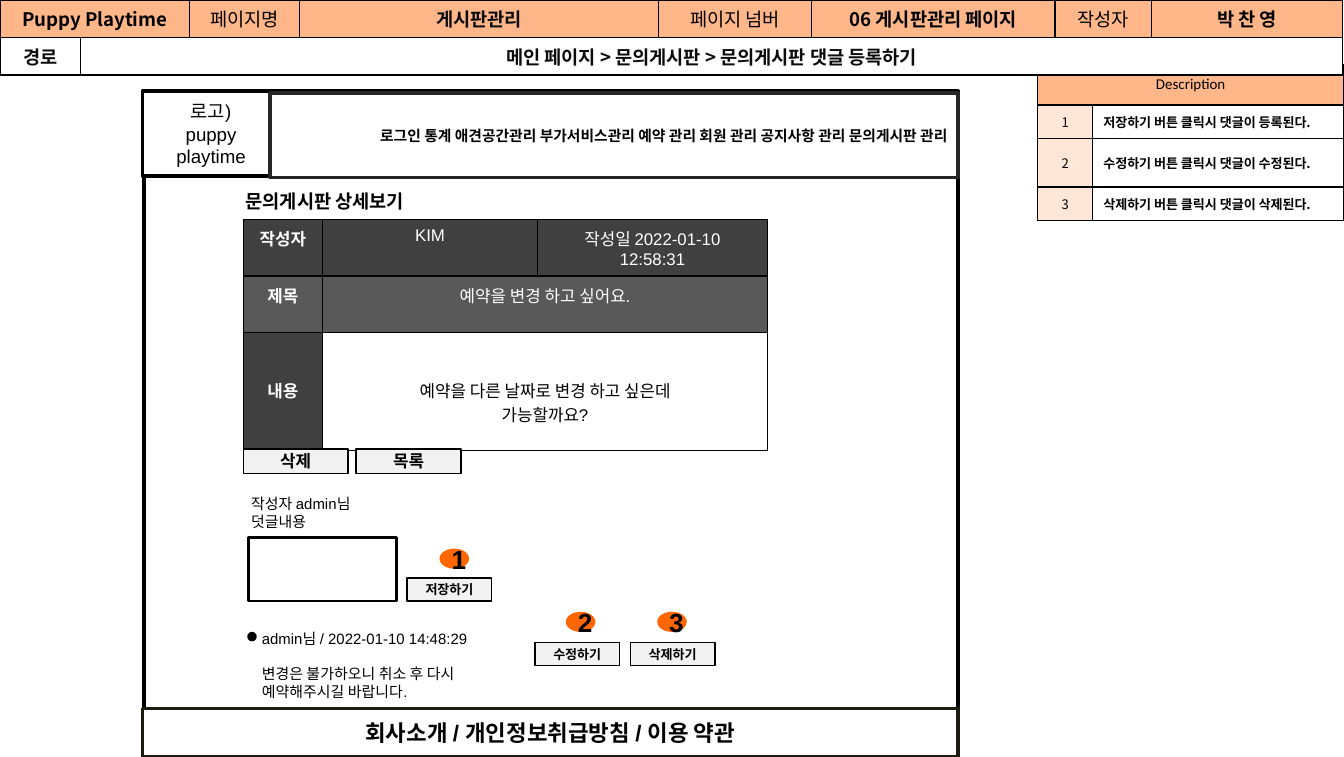
"""Builds the wireframe slide for the inquiry board comment page."""
from lxml.etree import SubElement
from pptx import Presentation
from pptx.dml.color import RGBColor
from pptx.enum.shapes import MSO_SHAPE
from pptx.enum.text import MSO_ANCHOR, PP_ALIGN
from pptx.oxml import parse_xml
from pptx.oxml.ns import nsdecls, qn
from pptx.util import Inches, Pt

COLORS = {"black": "000000", "ink": "0C0C0C", "white": "FFFFFF", "peach": "FFB689",
          "cream": "FFE7D8", "dark": "404040", "mid": "595959", "grey": "F2F2F2",
          "orange": "FF6600", "olive": "1D1B10", "coal": "262626"}
KOREAN = "Noto Sans CJK KR"
ALIGN = {"left": PP_ALIGN.LEFT, "center": PP_ALIGN.CENTER, "right": PP_ALIGN.RIGHT}

bold = {"bold": True}
head = {"fill": "peach"}
head_bold = {"fill": "peach", "bold": True}
path = {"fill": "white", "bold": True, "color": "ink", "anchor": MSO_ANCHOR.MIDDLE}
label = {"fill": "dark", "color": "white", "bold": True}
value = {"fill": "dark", "color": "white"}
low = {"top": 0.34}

DESCRIPTIONS = ["저장하기 버튼 클릭시 댓글이 등록된다.", "수정하기 버튼 클릭시 댓글이 수정된다.",
                "삭제하기 버튼 클릭시 댓글이 삭제된다."]
DESCRIPTION_CELLS = [(0, 0, 2, "Description", {"fill": "peach", "size": 8, "font": "Calibri"})]
for number, sentence in enumerate(DESCRIPTIONS, 1):
    DESCRIPTION_CELLS += [(number, 0, 1, str(number), {"fill": "cream"}),
                          (number, 1, 1, sentence, {"fill": "white", "bold": True, "align": "left"})]

HEADER_CELLS = [
    (0, 0, 2, "Puppy Playtime", head_bold), (0, 2, 1, "페이지명", head),
    (0, 3, 1, "게시판관리", head_bold | {"color": "ink"}), (0, 4, 1, "페이지 넘버", head),
    (0, 5, 1, "06 게시판관리 페이지", head_bold), (0, 6, 1, "작성자", head),
    (0, 7, 1, "박 찬 영", head_bold), (1, 0, 1, "경로", path),
    (1, 1, 7, "메인 페이지 > 문의게시판 > 문의게시판 댓글 등록하기", path)]

POST_CELLS = [
    (0, 0, 1, "작성자", label), (0, 1, 1, "KIM", value),
    (0, 2, 1, "작성일 2022-01-10 12:58:31", value),
    (1, 0, 1, "제목", label | {"fill": "mid"}),
    (1, 1, 2, "예약을 변경 하고 싶어요.", value | {"fill": "mid"}),
    (2, 0, 1, "내용", label | low),
    (2, 1, 2, "예약을 다른 날짜로 변경 하고 싶은데\n가능할까요?", low)]

MENU = "로그인 통계 애견공간관리 부가서비스관리 예약 관리 회원 관리 공지사항 관리 문의게시판 관리"
FRAMES = [
    ((1.07, 0.68, 6.06, 4.94), "black", 2, "", {}),
    ((1.06, 5.27, 6.07, 0.36), "olive", 2, "회사소개 / 개인정보취급방침 / 이용 약관", bold | {"size": 12}),
    ((1.06, 0.68, 1.02, 0.63), "black", 2, "로고)\npuppy\nplaytime", {"size": 10}),
    ((2.01, 0.69, 5.12, 0.63), "coal", 2, MENU,
     bold | {"size": 7.9, "font": KOREAN, "align": "right", "side": 0.08, "top": 0.04}),
    ((1.85, 4, 1.1, 0.47), "black", 1.5, "", {})]
BUTTONS = [((1.81, 3.34, 0.78, 0.18), "삭제", 9), ((2.65, 3.34, 0.78, 0.18), "목록", 9),
           ((3.03, 4.3, 0.63, 0.17), "저장하기", 7), ((3.98, 4.78, 0.63, 0.17), "수정하기", 7),
           ((4.69, 4.78, 0.63, 0.17), "삭제하기", 7)]
MARKERS = [(3.27, 4.08), (4.21, 4.55), (4.89, 4.55)]
NOTES = [
    ((1.73, 1.36, 1.62, 0.26), "문의게시판 상세보기", bold | {"size": 10}),
    ((1.77, 3.63, 1.02, 0.36), "작성자 admin님\n덧글내용", {"size": 8}),
    ((1.85, 4.63, 1.97, 0.63),
     "admin님 / 2022-01-10 14:48:29\n변경은 불가하오니 취소 후 다시 예약해주시길 바랍니다.", {"size": 8, "gap": 9.5})]


def rgb(name):
    return RGBColor.from_string(COLORS[name])


def write(frame, text, size=9, font="Arial", color="black", bold=False, align="center", gap=0):
    """Fill a text frame, one paragraph per line."""
    frame.word_wrap = True
    for index, line in enumerate(text.split("\n")):
        para = frame.add_paragraph() if index else frame.paragraphs[0]
        para.alignment = ALIGN[align]
        if index and gap:
            para.space_before = Pt(gap)
        span = para.add_run()
        span.text = line
        span.font.size, span.font.name, span.font.bold = Pt(size), font, bold
        span.font.color.rgb = rgb(color)
        SubElement(span.font._element, qn("a:ea")).set("typeface", KOREAN)


def set_margins(target, side, top, bottom):
    target.margin_left = target.margin_right = Inches(side)
    target.margin_top, target.margin_bottom = Inches(top), Inches(bottom)


def add_box(page, area, fill, line=None, width=1, text="", kind=MSO_SHAPE.RECTANGLE,
            side=0.1, top=0.05, **style):
    box = page.shapes.add_shape(kind, *map(Inches, area))
    box.shadow.inherit = False
    box.fill.solid()
    box.fill.fore_color.rgb = rgb(fill)
    if line:
        box.line.color.rgb = rgb(line)
        box.line.width = Pt(width)
    else:
        box.line.fill.background()
    if text:
        set_margins(box.text_frame, side, top, top)
        box.text_frame.vertical_anchor = MSO_ANCHOR.MIDDLE
        write(box.text_frame, text, **style)


def add_grid(page, left, top, columns, rows, cells, border, margins, **defaults):
    area = map(Inches, (left, top, sum(columns), sum(rows)))
    table = page.shapes.add_table(len(rows), len(columns), *area).table
    for column, width in zip(table.columns, columns):
        column.width = Inches(width)
    for row, height in zip(table.rows, rows):
        row.height = Inches(height)
    for row, column, width, text, style in cells:
        style = defaults | style
        fill = style.pop("fill", None)
        anchor = style.pop("anchor", MSO_ANCHOR.TOP)
        side, edge = margins
        cell = table.cell(row, column)
        if width > 1:
            cell.merge(table.cell(row, column + width - 1))
        set_margins(cell, side, style.pop("top", edge), edge)
        cell.vertical_anchor = anchor
        write(cell.text_frame, text, **style)
        for offset in range(width):
            part = table.cell(row, column + offset)
            if fill:
                part.fill.solid()
                part.fill.fore_color.rgb = rgb(fill)
            else:
                part.fill.background()
            for index, edge_name in enumerate("LRTB"):
                part._tc.get_or_add_tcPr().insert(index, parse_xml(
                    f'<a:ln{edge_name} {nsdecls("a")} w="{Pt(border)}"><a:solidFill>'
                    f'<a:srgbClr val="{COLORS["black"]}"/></a:solidFill></a:ln{edge_name}>'))


deck = Presentation()
deck.slide_width, deck.slide_height = Inches(10), Inches(5.63)
page = deck.slides.add_slide(deck.slide_layouts[6])

add_grid(page, 7.72, 0.48, [0.41, 1.87], [0.3, 0.25, 0.36, 0.25], DESCRIPTION_CELLS, 1,
         (0.08, 0.03), size=7, font=KOREAN, anchor=MSO_ANCHOR.MIDDLE)
add_grid(page, 0, 0, [0.6, 0.81, 0.82, 2.67, 1.14, 1.81, 0.72, 1.42], [0.24, 0.24],
         HEADER_CELLS, 1, (0.09, 0.04), size=10, font=KOREAN)
for area, line, width, text, style in FRAMES:
    add_box(page, area, "white", line, width, text, **style)
add_grid(page, 1.81, 1.63, [0.59, 1.6, 1.71], [0.42, 0.42, 0.88], POST_CELLS, 0.75, (0.1, 0.05))
for area, text, size in BUTTONS:
    add_box(page, area, "grey", "black", 0.75, text, size=size, bold=True)
for number, place in enumerate(MARKERS, 1):
    add_box(page, (*place, 0.22, 0.15), "orange", text=str(number), kind=MSO_SHAPE.OVAL,
            size=14, bold=True)
add_box(page, (1.85, 4.71, 0.05, 0.05), "black", "black", 1.5, kind=MSO_SHAPE.OVAL)
for area, text, style in NOTES:
    note = page.shapes.add_textbox(*map(Inches, area))
    write(note.text_frame, text, align="left", **style)

deck.save("out.pptx")
